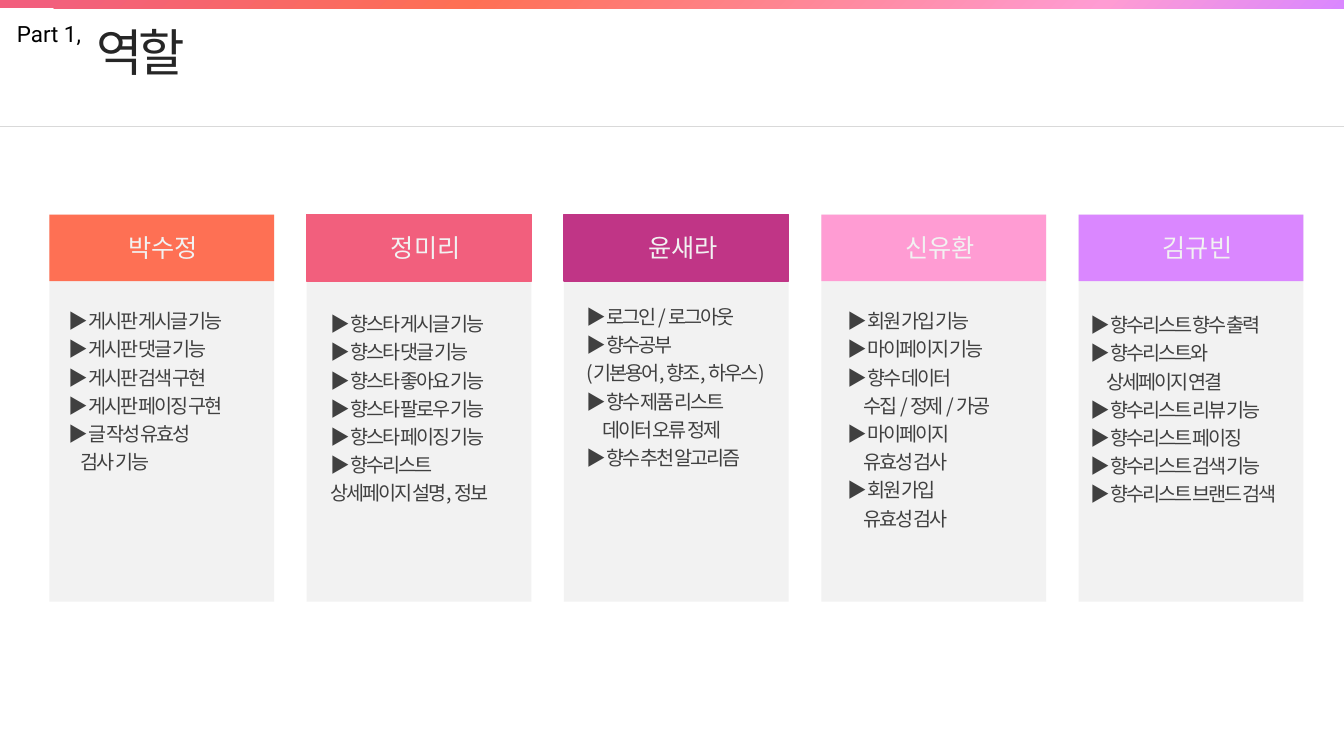
from dataclasses import dataclass

from lxml.etree import SubElement
from pptx import Presentation
from pptx.dml.color import RGBColor as Rgb
from pptx.enum.shapes import MSO_CONNECTOR as Connector, MSO_SHAPE as Shape
from pptx.enum.text import MSO_AUTO_SIZE as AutoSize, PP_ALIGN as Align
from pptx.oxml.ns import qn
from pptx.util import Inches, Pt


@dataclass(frozen=True)
class Theme:
    """Colours, fonts and type sizes of the slide."""
    title: str = "262626"
    section: str = "000000"
    name: str = "F2F2F2"
    task: str = "404040"
    panel: str = "F2F2F2"
    rule: str = "D9D9D9"
    orange: str = "FE7054"
    coral: str = "F25F7D"
    plum: str = "C03586"
    pink: str = "FF9CD3"
    violet: str = "DA87FF"
    korean: str = "Noto Sans CJK KR"
    latin: str = "Roboto"
    title_size: int = 36
    section_size: int = 16
    name_size: int = 18
    task_size: int = 14


@dataclass(frozen=True)
class Member:
    """One team member with the tasks and the place of the texts in the column."""
    name: str
    colour: str
    tasks: tuple
    task_left: float
    task_top: float
    task_width: float
    indented: tuple = ()
    indent: float = 1.92
    name_left: float = 8.4
    outlined: bool = False


class Canvas:
    """Draws on one slide measured as a grid of 160 columns and 90 rows."""

    def __init__(self, deck, theme):
        self.theme = theme
        self.column = deck.slide_width / 160
        self.row = deck.slide_height / 90
        self.slide = deck.slides.add_slide(deck.slide_layouts[6])

    def place(self, left, top, width, height):
        """Turn columns and rows into lengths."""
        return (round(left * self.column), round(top * self.row),
                round(width * self.column), round(height * self.row))

    def block(self, *area, colour=None, outlined=False):
        """Add a rectangle, with an outline in its own colour if wanted."""
        block = self.slide.shapes.add_shape(Shape.RECTANGLE, *self.place(*area))
        block.shadow.inherit = False
        if colour:
            block.fill.solid()
            block.fill.fore_color.rgb = Rgb.from_string(colour)
        if outlined:
            block.line.color.rgb = Rgb.from_string(colour)
            block.line.width = Pt(1)
        else:
            block.line.fill.background()
        return block

    def gradient_bar(self, *area, stops):
        """Add a rectangle filled with a diagonal gradient."""
        bar = self.block(*area)
        bar.fill.gradient()
        gradient = bar._element.spPr.find(qn("a:gradFill"))
        for child in list(gradient):
            gradient.remove(child)
        stop_list = SubElement(gradient, qn("a:gsLst"))
        for percent, colour in stops:
            stop = SubElement(stop_list, qn("a:gs"), pos=str(percent * 1000))
            SubElement(stop, qn("a:srgbClr"), val=colour)
        SubElement(gradient, qn("a:lin"), ang="2700000", scaled="0")

    def rule(self, row):
        """Add a thin line across the slide."""
        left, top, width, _ = self.place(0, row, 160, 0)
        rule = self.slide.shapes.add_connector(Connector.STRAIGHT, left, top, width, top)
        rule.line.color.rgb = Rgb.from_string(self.theme.rule)
        rule.line.width = Pt(0.5)
        SubElement(rule._element.spPr, qn("a:effectLst"))

    def text(self, lines, *area, size, font, colour, align=Align.LEFT,
             tracking=0, leading=None, wrap=False, indented=(), indent=0):
        """Add a text box with one paragraph for each line."""
        frame = self.slide.shapes.add_textbox(*self.place(*area)).text_frame
        frame.word_wrap = wrap
        frame.auto_size = AutoSize.SHAPE_TO_FIT_TEXT
        for number, line in enumerate(lines):
            paragraph = frame.add_paragraph() if number else frame.paragraphs[0]
            paragraph.alignment = align
            if leading:
                paragraph.line_spacing = leading
            if line in indented:
                paragraph._p.get_or_add_pPr().set("marL", str(round(indent * self.column)))
            run = paragraph.add_run()
            run.text = line
            run.font.size = Pt(size)
            run.font.name = font
            run.font.color.rgb = Rgb.from_string(colour)
            properties = run._r.get_or_add_rPr()
            SubElement(properties, qn("a:ea"), typeface=font)
            if tracking:
                properties.set("spc", str(round(tracking * 100)))

    def member(self, member, left):
        """Add the panel, header, name and tasks of one member."""
        theme = self.theme
        self.block(left, 25.56, 26.76, 46.08, colour=theme.panel)
        self.block(left, 25.56, 26.76, 7.92, colour=member.colour, outlined=member.outlined)
        self.text([member.name], left + member.name_left, 27.12, 11.52, 4.8,
                  size=theme.name_size, font=theme.latin, colour=theme.name,
                  align=Align.CENTER)
        self.text(member.tasks, left + member.task_left, member.task_top,
                  member.task_width, 3.36 * len(member.tasks) + 1.4,
                  size=theme.task_size, font=theme.korean, colour=theme.task,
                  align=Align.JUSTIFY, tracking=-1.5, leading=1.2, wrap=True,
                  indented=member.indented, indent=member.indent)


def main():
    """Build the slide on team roles."""
    theme = Theme()
    team = (
        Member("박수정", theme.orange,
               ("▶ 게시판 게시글 기능", "▶ 게시판 댓글 기능", "▶ 게시판 검색 구현",
                "▶ 게시판 페이징 구현", "▶ 글 작성 유효성", "검사 기능"),
               1.08, 35.64, 24.36, indented=("검사 기능",), indent=1.5, name_left=7.8),
        Member("정미리", theme.coral,
               ("▶ 향스타 게시글 기능", "▶ 향스타 댓글 기능", "▶ 향스타 좋아요 기능",
                "▶ 향스타 팔로우 기능", "▶ 향스타 페이징 기능", "▶ 향수리스트",
                "상세페이지 설명, 정보"),
               1.65, 36, 23.28, outlined=True),
        Member("윤새라", theme.plum,
               ("▶ 로그인 / 로그아웃", "▶ 향수공부", "(기본용어, 향조, 하우스)",
                "▶ 향수 제품 리스트", "데이터 오류 정제", "▶ 향수 추천 알고리즘"),
               1.5, 35.16, 24.6, indented=("데이터 오류 정제",), outlined=True),
        Member("신유환", theme.pink,
               ("▶ 회원 가입 기능", "▶ 마이페이지 기능", "▶ 향수 데이터",
                "수집 / 정제 / 가공", "▶ 마이페이지", "유효성 검사",
                "▶ 회원 가입", "유효성 검사"),
               1.95, 35.64, 23.28, indented=("수집 / 정제 / 가공", "유효성 검사")),
        Member("김규빈", theme.violet,
               ("▶ 향수리스트 향수 출력", "▶ 향수리스트와", "상세페이지 연결",
                "▶ 향수리스트 리뷰 기능", "▶ 향수리스트 페이징",
                "▶ 향수리스트 검색 기능", "▶ 향수리스트 브랜드 검색"),
               0.24, 36.12, 27.36, indented=("상세페이지 연결",)),
    )

    deck = Presentation()
    deck.slide_width, deck.slide_height = Inches(13.33), Inches(7.5)
    canvas = Canvas(deck, theme)
    canvas.rule(15)
    canvas.text(["역할"], 10.32, 1.92, 13.56, 8.52, size=theme.title_size,
                font=theme.korean, colour=theme.title, tracking=-3)
    canvas.text(["Part 1,"], 0.84, 1.8, 11.16, 4.44, size=theme.section_size,
                font=theme.latin, colour=theme.section)
    canvas.gradient_bar(0, 0, 160, 0.96, stops=(
        (3, theme.coral), (35, theme.orange), (82, theme.pink), (100, theme.violet)))
    for position, member in enumerate(team):
        canvas.member(member, 5.88 + 30.63 * position)
    deck.save("out.pptx")


if __name__ == "__main__":
    main()
